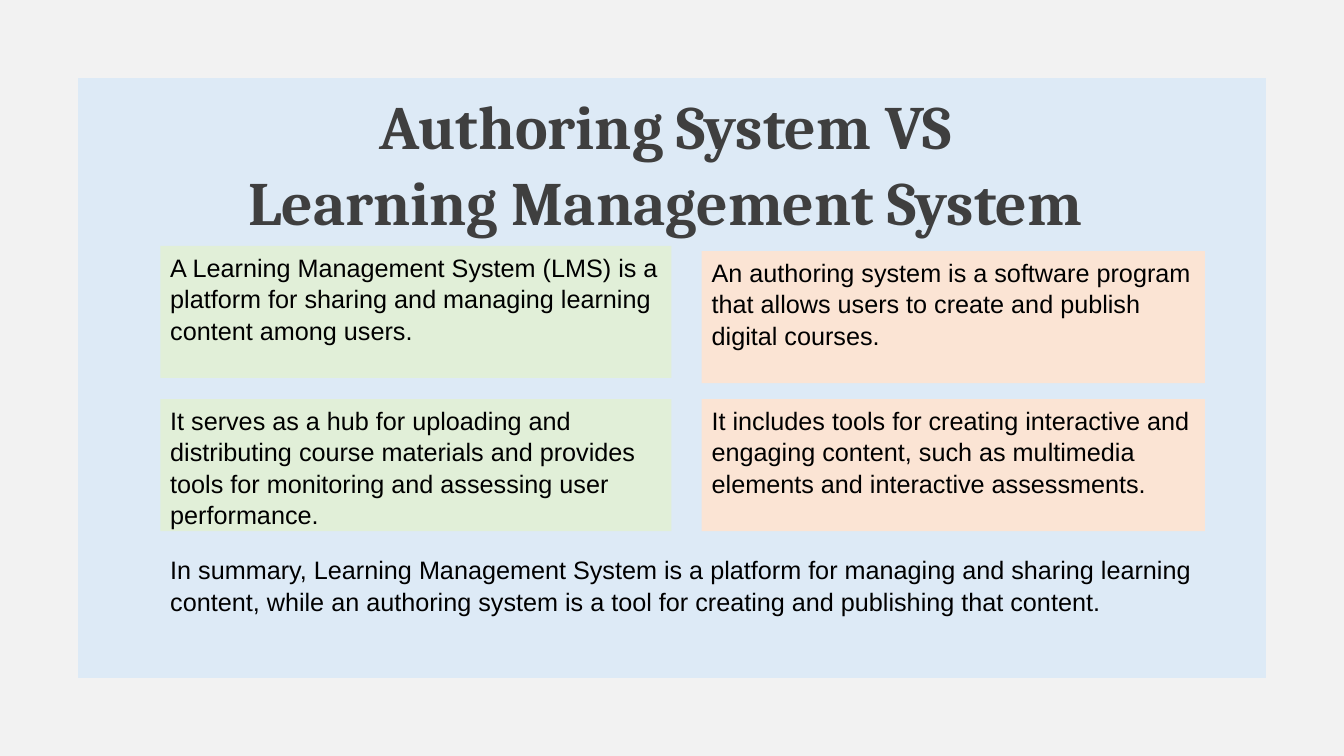
from pptx import Presentation
from pptx import util as u
from pptx.dml.color import RGBColor
from pptx.enum import shapes, text

COLORS = {
    "background": "DDEAF6",
    "frame": "F2F2F2",
    "lms": "E1EFD8",
    "authoring": "FBE4D4",
    "title": "3F3F3F",
    "body": "000000",
}
WIDTH, HEIGHT = 13.33, 7.5

# Grid: left edge and width of each column, shared card height
LMS_COL, AUTHORING_COL = (1.59, 5.07), (6.96, 4.99)
FULL_COL = (LMS_COL[0], sum(AUTHORING_COL) - LMS_COL[0])
CARD_HEIGHT = 1.31
SECOND_ROW, SUMMARY_ROW = 3.96, 5.44

TITLE = ["Authoring System VS ", "Learning Management System "]
CARDS = [
    (LMS_COL, 2.44, "lms",
     "A Learning Management System (LMS) is a platform for sharing and "
     "managing learning content among users."),
    (LMS_COL, SECOND_ROW, "lms",
     "It serves as a hub for uploading and distributing course materials and "
     "provides tools for monitoring and assessing user performance."),
    (AUTHORING_COL, SECOND_ROW, "authoring",
     "It includes tools for creating interactive and engaging content, such as "
     "multimedia elements and interactive assessments."),
    (AUTHORING_COL, 2.49, "authoring",
     "An authoring system is a software program that allows users to create "
     "and publish digital courses."),
]
SUMMARY = (
    "In summary, Learning Management System is a platform for managing and "
    "sharing learning content, while an authoring system is a tool for "
    "creating and publishing that content."
)


def rgb(name):
    return RGBColor.from_string(COLORS[name])


def inches(*lengths):
    return [u.Inches(length) for length in lengths]


def add_filled(slide, kind, box, color):
    sp = slide.shapes.add_shape(kind, *inches(*box))
    sp.shadow.inherit = False
    sp.fill.solid()
    sp.fill.fore_color.rgb = rgb(color)
    sp.line.fill.background()
    return sp


def write(sp, lines, font, size, color, align, bold=False):
    tf = sp.text_frame
    tf.word_wrap = True
    tf.auto_size = text.MSO_AUTO_SIZE.SHAPE_TO_FIT_TEXT
    tf.vertical_anchor = text.MSO_ANCHOR.TOP
    tf.text = "\n".join(lines)
    for p in tf.paragraphs:
        p.alignment = align
        p.line_spacing = 1.04
        p.font.name = font
        p.font.size = u.Pt(size)
        p.font.bold = bold
        p.font.color.rgb = rgb(color)


def add_card(slide, column, top, height, color, content):
    left, width = column
    sp = add_filled(slide, shapes.MSO_SHAPE.RECTANGLE,
                    (left, top, width, height), color)
    write(sp, [content], "Arial", 18, "body", text.PP_ALIGN.LEFT)


def main():
    prs = Presentation()
    prs.slide_width, prs.slide_height = inches(WIDTH, HEIGHT)
    slide = prs.slides.add_slide(prs.slide_layouts[6])

    # Background and border frame
    slide.background.fill.solid()
    slide.background.fill.fore_color.rgb = rgb("background")
    frame = add_filled(slide, shapes.MSO_SHAPE.FRAME,
                       (0, 0, WIDTH, HEIGHT), "frame")
    frame.adjustments[0] = 0.103 

    # Title
    title = slide.shapes.add_textbox(*inches(0.76, 0.79, 11.82, 1.58))
    write(title, TITLE, "Cambria", 44, "title", text.PP_ALIGN.CENTER, bold=True)

    # Comparison cards and summary
    for column, top, color, content in CARDS:
        add_card(slide, column, top, CARD_HEIGHT, color, content)
    add_card(slide, FULL_COL, SUMMARY_ROW, 1.01, "background", SUMMARY)

    prs.save("out.pptx")


if __name__ == "__main__":
    main()
